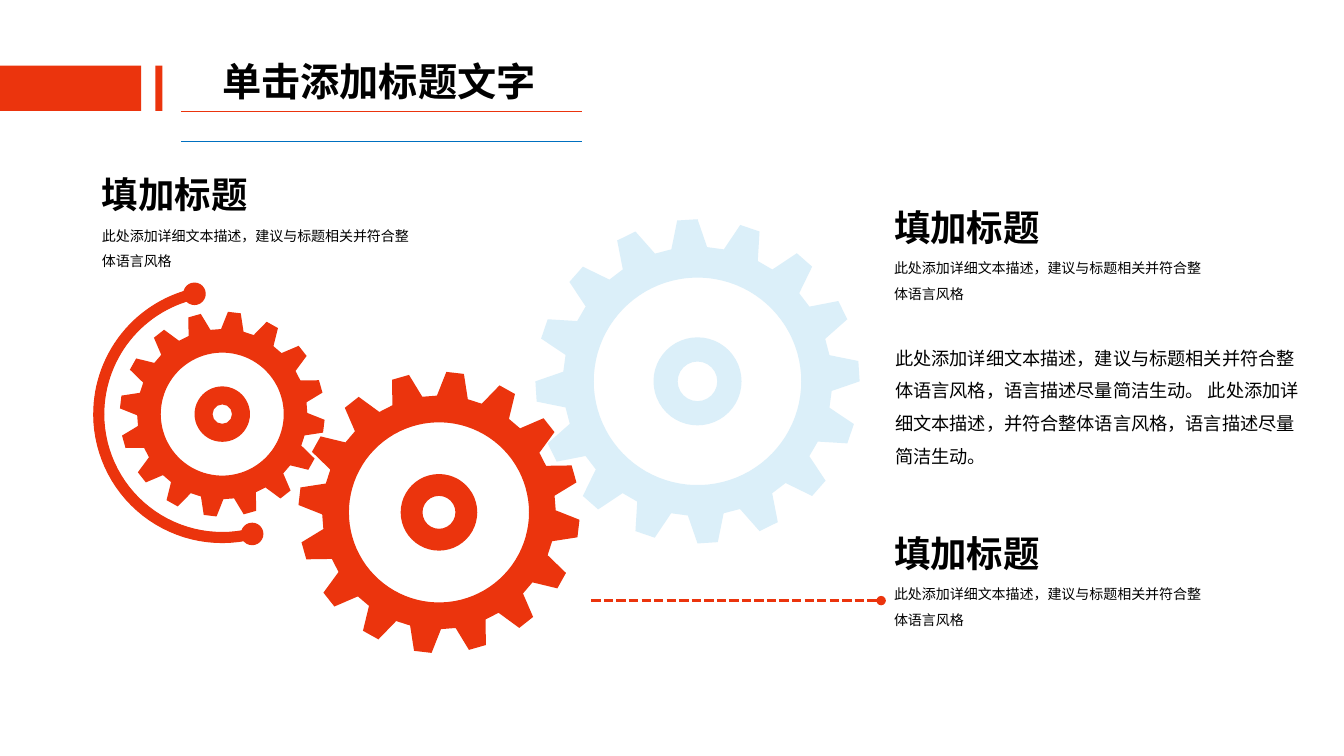
import math

from lxml import etree
from pptx import Presentation, util as u
from pptx.dml.color import RGBColor
from pptx.enum import dml, shapes, text
from pptx.oxml import ns

RED = RGBColor(0xEB, 0x34, 0x0D)
PALE_BLUE = RGBColor(0xDB, 0xEF, 0xF9)
RULE_BLUE = RGBColor(0x00, 0x70, 0xC0)
BLACK = RGBColor(0, 0, 0)
FONT = "Noto Sans CJK SC"

WIDTH, HEIGHT = u.Inches(13.333), u.Inches(7.5)
CELL = HEIGHT / 90  # square grid of 160 columns by 90 rows
TEETH = 16

HEADING = "填加标题"
SUMMARY = "此处添加详细文本描述，建议与标题相关并符合整体语言风格"
DETAIL = (SUMMARY + "，语言描述尽量简洁生动。 "
          "此处添加详细文本描述，并符合整体语言风格，语言描述尽量简洁生动。")


def cells(*counts):
    return [round(count * CELL) for count in counts]


def paint(shape, color, outline=None):
    shape.shadow.inherit = False
    shape.fill.solid()
    shape.fill.fore_color.rgb = color
    if outline:
        shape.line.color.rgb = color
        shape.line.width = u.Pt(outline)
    else:
        shape.line.fill.background()


def add_preset(slide, kind, box, color, outline=None):
    shape = slide.shapes.add_shape(kind, *cells(*box))
    paint(shape, color, outline)
    return shape


def add_rule(slide, start, end, color, points):
    rule = slide.shapes.add_connector(
        shapes.MSO_CONNECTOR.STRAIGHT, *cells(*start, *end))
    rule.line.color.rgb = color
    rule.line.width = u.Pt(points)
    etree.SubElement(rule._element.spPr, ns.qn("a:effectLst"))
    return rule


def add_text(slide, box, content, size, bold=False, wrap=True, spacing=None):
    frame = slide.shapes.add_textbox(*cells(*box)).text_frame
    frame.word_wrap = wrap
    frame.auto_size = text.MSO_AUTO_SIZE.SHAPE_TO_FIT_TEXT
    paragraph = frame.paragraphs[0]
    paragraph.text = content
    if spacing:
        paragraph.line_spacing = spacing
    font = paragraph.font
    font.name, font.size, font.bold = FONT, u.Pt(size), bold
    font.color.rgb = BLACK
    defaults = paragraph._p.get_or_add_pPr().find(ns.qn("a:defRPr"))
    etree.SubElement(defaults, ns.qn("a:ea"), typeface=FONT)


def polar(center, radius, degrees):
    angle = math.radians(degrees)
    return cells(center[0] + radius * math.cos(angle),
                 center[1] + radius * math.sin(angle))


def arc_points(center, radius, start, end, steps):
    return [polar(center, radius, start + (end - start) * step / steps)
            for step in range(steps + 1)]


def add_outline(slide, contours, color, outline=None):
    """Draw closed contours as one shape; an inner contour cuts a hole."""
    builder = slide.shapes.build_freeform(*contours[0][0])
    for index, contour in enumerate(contours):
        if index:
            builder.move_to(*contour[0])
        builder.add_line_segments(contour[1:], close=True)
    paint(builder.convert_to_shape(), color, outline)


def add_gear(slide, center, radius, turn, hole, hub, bore, color):
    """Toothed wheel and its hub; hole and bore are shares of their radii."""
    rim = []
    for tooth in range(TEETH):
        angle = turn - tooth * 360 / TEETH
        rim += [polar(center, radius, angle),
                polar(center, radius, angle - 7.2),
                polar(center, radius * 0.83, angle - 11.2),
                polar(center, radius * 0.83, angle - 18.4)]
    opening = arc_points(center, radius * hole, 0, 360, 90)
    add_outline(slide, [rim, opening], color)
    box = (center[0] - hub, center[1] - hub, 2 * hub, 2 * hub)
    ring = add_preset(slide, shapes.MSO_SHAPE.DONUT, box, color)
    ring.adjustments[0] = (1 - bore) / 2


def add_bracket(slide, center, outer, inner):
    """Two arcs round the left of a gear, with a ball at each end."""
    for start, end in ((180, 257), (76, 180)):
        band = (arc_points(center, outer, start, end, 30)
                + arc_points(center, inner, end, start, 30))
        add_outline(slide, [band], RED, 0.75)
    ball = 1.26
    middle = (outer + inner) / 2
    for degrees in (257, 76):
        angle = math.radians(degrees)
        box = (center[0] + middle * math.cos(angle) - ball,
               center[1] + middle * math.sin(angle) - ball,
               2 * ball, 2 * ball)
        add_preset(slide, shapes.MSO_SHAPE.OVAL, box, RED, 1)


def add_header(slide, left, top, width, height):
    bar_height = height * 0.6
    for offset, bar_width in ((18.5, 0.84), (0, 16.8)):
        add_preset(slide, shapes.MSO_SHAPE.RECTANGLE,
                   (left + offset, top, bar_width, bar_height), RED)
    add_text(slide, (left + 25.3, top - 1.6, 40.1, 6.8),
             "单击添加标题文字", 28, bold=True, wrap=False)
    for drop, color in ((bar_height, RED), (height, RULE_BLUE)):
        add_rule(slide, (left + 21.6, top + drop),
                 (left + width, top + drop), color, 0.5)


def add_caption(slide, left, top, width):
    add_text(slide, (left, top, 20.1, 6.5), HEADING, 26, bold=True, wrap=False)
    add_text(slide, (left, top + 5.55, width, 6.9), SUMMARY, 10, spacing=1.5)


def add_pointer(slide, start, end):
    pointer = add_rule(slide, start, end, RED, 2.25)
    pointer.line.dash_style = dml.MSO_LINE.SQUARE_DOT
    line = pointer._element.spPr.find(ns.qn("a:ln"))
    etree.SubElement(line, ns.qn("a:tailEnd"), type="oval")


def main():
    presentation = Presentation()
    presentation.slide_width, presentation.slide_height = WIDTH, HEIGHT
    slide = presentation.slides.add_slide(presentation.slide_layouts[6])

    add_header(slide, 0, 7.8, 69.25, 9)

    small_center = (26.46, 49.3)
    add_gear(slide, (83.04, 45.4), 19.3, 0, 0.64, 5.24, 0.45, PALE_BLUE)
    add_gear(slide, (52.26, 61), 16.75, 10.2, 0.64, 4.56, 0.43, RED)
    add_gear(slide, small_center, 12.2, 10.4, 0.6, 3.3, 0.35, RED)
    add_bracket(slide, small_center, 15.3, 14.1)

    for left, top in ((10.95, 19.9), (105.25, 23.8), (105.25, 62.6)):
        add_caption(slide, left, top, 39)
    add_text(slide, (105.4, 39.4, 51.2, 21), DETAIL, 13, spacing=1.5)
    add_pointer(slide, (70.4, 71.5), (104.9, 71.5))

    presentation.save("out.pptx")


if __name__ == "__main__":
    main()
